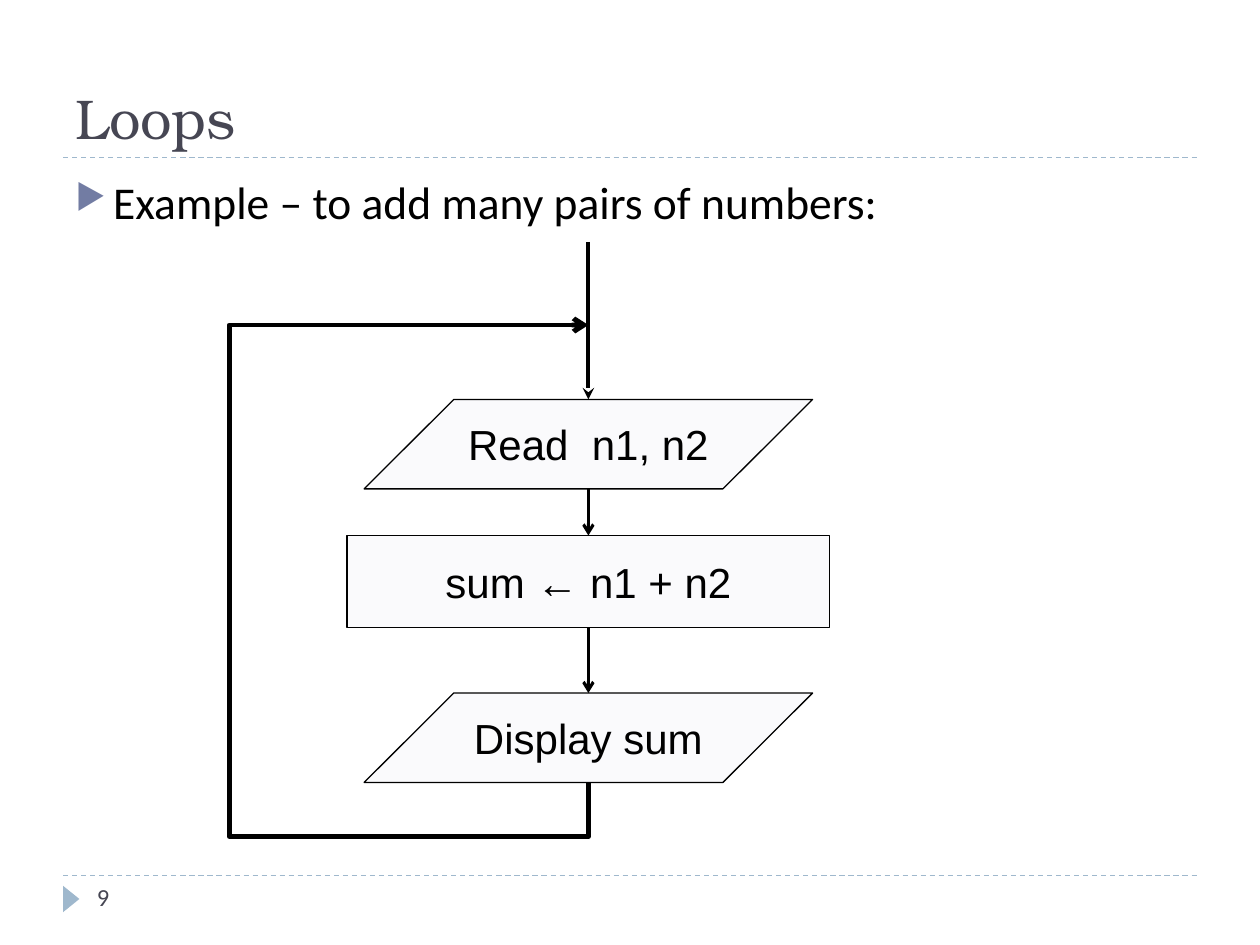
import pptx
import pptx.util
import pptx.dml.color
import pptx.enum.dml
import pptx.enum.shapes
import pptx.enum.text
import pptx.oxml.ns
import lxml.etree

Inches = pptx.util.Inches
SHAPE = pptx.enum.shapes.MSO_SHAPE
ALIGN = pptx.enum.text.PP_ALIGN
ANCHOR = pptx.enum.text.MSO_ANCHOR
HEX = {"ink": "000000", "title": "464653", "rule": "9FB8CD",
       "mark": "727CA3", "box": "FAFAFC"}


def node(parent, tag, **attrs):
    return lxml.etree.SubElement(parent, pptx.oxml.ns.qn(tag), **attrs)


class Deck:
    def __init__(self):
        self.show = pptx.Presentation()
        self.show.slide_width = Inches(10)
        self.show.slide_height = Inches(7.5)
        self.slide = self.show.slides.add_slide(self.show.slide_layouts[5])
        self.shapes = self.slide.shapes

    def tint(self, name):
        return pptx.dml.color.RGBColor.from_string(HEX[name])

    def paint(self, shape, fill, edge=None):
        shape.shadow.inherit = False
        if fill:
            shape.fill.solid()
            shape.fill.fore_color.rgb = self.tint(fill)
        else:
            shape.fill.background()
        if edge:
            self.stroke(shape, edge, 0.75)
        else:
            shape.line.fill.background()

    def stroke(self, shape, color, width, dash=False, tip=None):
        shape.line.color.rgb = self.tint(color)
        shape.line.width = pptx.util.Pt(width)
        if dash:
            shape.line.dash_style = pptx.enum.dml.MSO_LINE.DASH
        if tip:
            node(shape.line._get_or_add_ln(), "a:tailEnd", type=tip)

    def label(self, frame, words, size, font, color, align=ALIGN.LEFT):
        par = frame.paragraphs[0]
        par.alignment = align
        run = par.add_run()
        run.text = words
        run.font.size = pptx.util.Pt(size)
        run.font.name = font
        run.font.color.rgb = self.tint(color)
        return par

    def title(self, words, x, y, w, h):
        head = self.shapes.title
        head.left, head.top, head.width, head.height = map(Inches, (x, y, w, h))
        head.text_frame.vertical_anchor = ANCHOR.BOTTOM
        self.label(head.text_frame, words, 32, "TeX Gyre Bonum", "title")

    def text(self, words, x, y, w, h, size, color):
        box = self.shapes.add_textbox(*map(Inches, (x, y, w, h)))
        box.text_frame.word_wrap = True
        return self.label(box.text_frame, words, size, "Calibri", color)

    def bullet(self, par):
        props = par._p.get_or_add_pPr()
        props.set("marL", str(Inches(0.3)))
        props.set("indent", str(-Inches(0.3)))
        node(node(props, "a:buClr"), "a:srgbClr", val=HEX["mark"])
        node(props, "a:buSzPct", val="76000")
        node(props, "a:buChar", char="▶")

    def step(self, kind, words, mid, y, w, h):
        box = self.shapes.add_shape(
            kind, *map(Inches, (mid - w / 2, y, w, h)))
        self.paint(box, "box", "ink")
        frame = box.text_frame
        frame.word_wrap = False
        frame.vertical_anchor = ANCHOR.MIDDLE
        self.label(frame, words, 24, "Arial", "ink", ALIGN.CENTER)
        return box

    def line(self, x1, y1, x2, y2, color, width, dash=False, tip=None):
        line = self.shapes.add_connector(
            pptx.enum.shapes.MSO_CONNECTOR.STRAIGHT,
            *map(Inches, (x1, y1, x2, y2)))
        self.stroke(line, color, width, dash, tip)
        node(line._element.spPr, "a:effectLst")
        return line

    def loop(self, points, width):
        spots = [(Inches(x), Inches(y)) for x, y in points]
        pen = self.shapes.build_freeform(*spots[0])
        pen.add_line_segments(spots[1:], close=False)
        bend = pen.convert_to_shape()
        self.paint(bend, None)
        self.stroke(bend, "ink", width, tip="arrow")

    def wedge(self, x, y, w, h):
        mark = self.shapes.add_shape(
            SHAPE.ISOSCELES_TRIANGLE, *map(Inches, (x, y, w, h)))
        mark.rotation = 90
        self.paint(mark, "rule")


def main():
    deck = Deck()
    for y in (6.95, 1.25):
        deck.line(0.5, y, 9.5, y, "rule", 0.75, dash=True)
    deck.wedge(0.46, 7.07, 0.21, 0.13)
    deck.title("Loops", 0.5, 0.17, 9, 1.08)
    lead = deck.text("Example – to add many pairs of numbers:",
                     0.5, 1.33, 9, 5.4, 26, "ink")
    deck.bullet(lead)

    mid = 4.67
    data = SHAPE.FLOWCHART_DATA
    deck.step(data, "Read  n1, n2", mid, 3.17, 3.56, 0.71)
    total = deck.step(SHAPE.FLOWCHART_PROCESS, "sum ← n1 + n2",
                      mid, 4.25, 3.83, 0.73)
    deck.step(data, "Display sum", mid, 5.5, 3.56, 0.71)

    enter = deck.line(mid, 3.88, mid, 4.25, "ink", 1.75, tip="arrow")
    enter.end_connect(total, 0)
    leave = deck.line(mid, 4.98, mid, 5.5, "ink", 1.75, tip="arrow")
    leave.begin_connect(total, 2)
    left, low, high = 1.82, 6.64, 2.58
    deck.loop([(mid, 6.21), (mid, low), (left, low),
               (left, high), (mid, high)], 2.75)
    deck.line(mid, 1.92, mid, 3.17, "ink", 2.25, tip="stealth")
    deck.text("9", 0.67, 6.95, 2.17, 0.4, 14, "title")
    deck.show.save("out.pptx")


if __name__ == "__main__":
    main()
